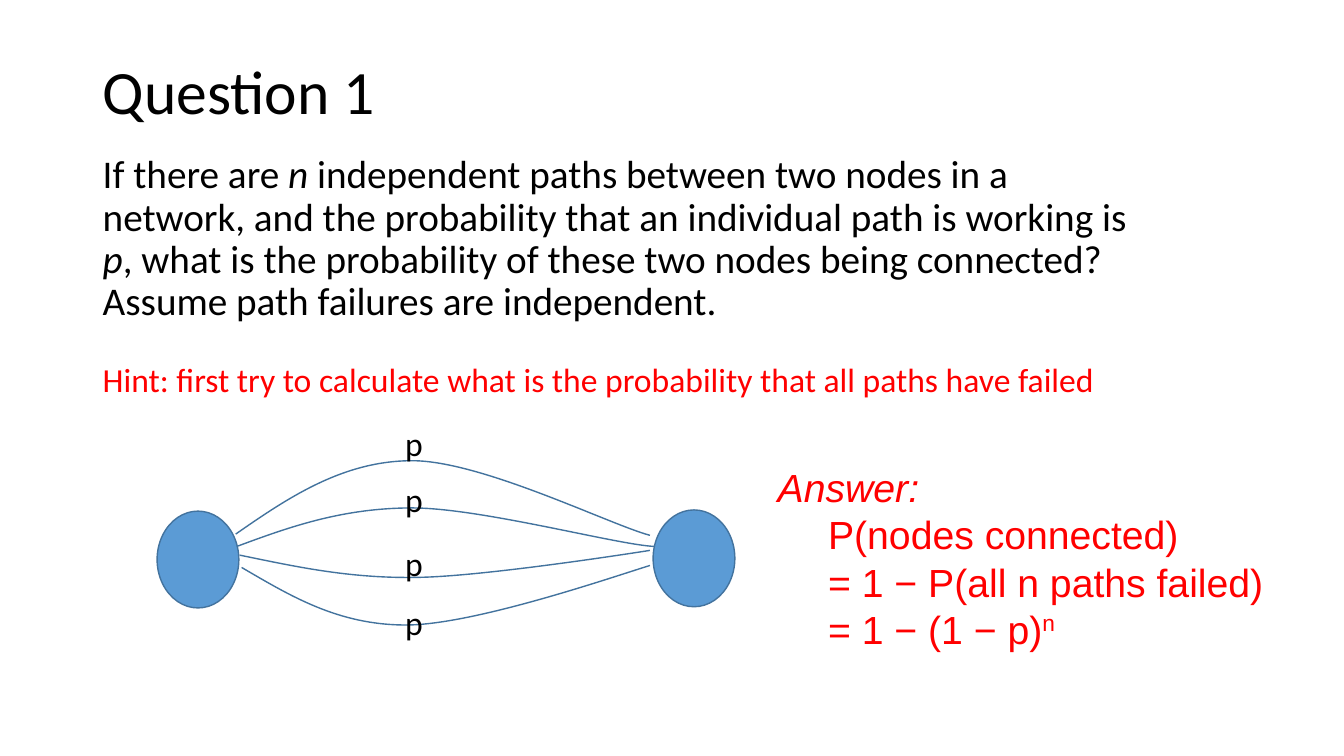
from dataclasses import dataclass

from pptx import Presentation
from pptx.dml.color import RGBColor as RGB
from pptx.enum.shapes import MSO_SHAPE as SHAPE
from pptx.enum.text import MSO_ANCHOR as ANCHOR, PP_ALIGN as ALIGN
from pptx.oxml.ns import qn
from pptx.util import Cm, Pt


@dataclass(frozen=True)
class Theme:
    text: RGB = RGB(0x00, 0x00, 0x00)
    accent: RGB = RGB(0xFF, 0x00, 0x00)
    node: RGB = RGB(0x5B, 0x9B, 0xD5)
    edge: RGB = RGB(0x43, 0x73, 0x9E)
    body_font: str = "Calibri"
    answer_font: str = "Arial"
    title_size: Pt = Pt(44)
    body_size: Pt = Pt(28)
    small_size: Pt = Pt(24)
    line_width: Pt = Pt(1)


T = Theme()
TITLE = dict(name=T.body_font, size=T.title_size, color=T.text)
BODY = dict(name=T.body_font, size=T.body_size, color=T.text)
HINT = dict(name=T.body_font, size=T.small_size, color=T.accent)
LABEL = dict(name=T.body_font, size=T.small_size, color=T.text)
ANSWER = dict(name=T.answer_font, size=T.body_size, color=T.accent)

# Centimetres from the diagram's corner: start, then three points per Bézier arc.
PATHS = [
    [(1.98, 2.92), (3.33, 1.98), (4.7, 1.07), (6.43, 1.07),
     (8.18, 1.07), (11.43, 2.69), (12.42, 2.95)],
    [(2.01, 3.23), (3.33, 2.74), (4.67, 2.26), (6.43, 2.26),
     (8.15, 2.26), (11.56, 3.18), (12.52, 3.23)],
    [(2.08, 3.45), (3.45, 3.73), (4.83, 4.04), (6.55, 4.01),
     (8.28, 3.99), (12.42, 3.33), (12.42, 3.33)],
    [(2.13, 3.76), (3.35, 4.47), (4.55, 5.21), (6.27, 5.21),
     (7.98, 5.21), (11.51, 3.99), (12.42, 3.71)],
]
LABEL_TOPS = [0, 1.4, 3.02, 4.5]
NODES = [(0, 2.34), (12.5, 2.31)]


def add_run(p, text, fmt, **extra):
    r = p.add_run()
    r.text = text
    for key, value in {**fmt, **extra}.items():
        if key == "color":
            r.font.color.rgb = value
        else:
            setattr(r.font, key, value)
    return r


def add_text_frame(s, left, top, width, height):
    tf = s.shapes.add_textbox(Cm(left), Cm(top), Cm(width), Cm(height)).text_frame
    tf.word_wrap = True
    return tf


def add_title(s, left, top, width, height):
    title = s.shapes.title
    for key, value in dict(left=left, top=top, width=width, height=height).items():
        setattr(title, key, Cm(value))
    tf = title.text_frame
    tf.vertical_anchor = ANCHOR.MIDDLE
    p = tf.paragraphs[0]
    p.alignment = ALIGN.LEFT
    p.line_spacing = 0.9
    add_run(p, "Question 1", TITLE)


def add_question(s, left, top, width, height):
    tf = add_text_frame(s, left, top, width, height)
    p = tf.paragraphs[0]
    p.line_spacing = 0.9
    for text, italic in [
        ("If there are ", False),
        ("n", True),
        (" independent paths between two nodes in a network, and the "
         "probability that an individual path is working is ", False),
        ("p", True),
        (", what is the probability of these two nodes being connected? "
         "Assume path failures are independent.", False),
    ]:
        add_run(p, text, BODY, italic=italic)
    p = tf.add_paragraph()
    p.line_spacing = 0.9
    p.space_before = Pt(28)
    add_run(p, "Hint: first try to calculate what is the probability "
               "that all paths have failed", HINT)


def style_shape(shape):
    shape.shadow.inherit = False
    shape.line.color.rgb = T.edge
    shape.line.width = T.line_width


def add_curve(s, points):
    """Draw an open curve through a start point and triples of Bézier points."""
    start, *rest = [(Cm(x), Cm(y)) for x, y in points]
    builder = s.shapes.build_freeform(*start)
    builder.add_line_segments(rest, close=False)
    curve = builder.convert_to_shape()
    segments = list(curve._element.iter(qn("a:lnTo")))
    for i in range(0, len(segments), 3):
        first, *others = segments[i:i + 3]
        bezier = first.makeelement(qn("a:cubicBezTo"))
        first.addprevious(bezier)
        for segment in (first, *others):
            bezier.append(segment[0])
            segment.getparent().remove(segment)
    curve.fill.background()
    style_shape(curve)


def add_diagram(s, left, top):
    for x, y in NODES:
        node = s.shapes.add_shape(SHAPE.OVAL, Cm(left + x), Cm(top + y),
                                  Cm(2.06), Cm(2.44))
        node.fill.solid()
        node.fill.fore_color.rgb = T.node
        style_shape(node)
    for points in PATHS:
        add_curve(s, [(left + x, top + y) for x, y in points])
    for y in LABEL_TOPS:
        tf = add_text_frame(s, left + 6, top + y, 1.17, 1.27)
        add_run(tf.paragraphs[0], "p", LABEL)


def add_answer(s, left, top, width, height):
    tf = add_text_frame(s, left, top, width, height)
    add_run(tf.paragraphs[0], "Answer:", ANSWER, italic=True)
    for text in ("P(nodes connected)", "= 1 − P(all n paths failed)",
                 "= 1 − (1 − p)"):
        p = tf.add_paragraph()
        p.level = 1
        pPr = p._p.get_or_add_pPr()
        pPr.set("marL", str(Cm(1.27)))
        pPr.set("indent", "0")
        add_run(p, text, ANSWER)
    exponent = add_run(p, "n", ANSWER)
    exponent._r.get_or_add_rPr().set("baseline", "33000")


def main():
    prs = Presentation()
    prs.slide_width, prs.slide_height = Cm(33.87), Cm(19.05)
    s = prs.slides.add_slide(prs.slide_layouts[5])
    add_title(s, 2.34, 0.53, 29.21, 3.68)
    add_question(s, 2.34, 3.78, 26.44, 5.84)
    add_diagram(s, 3.96, 10.54)
    add_answer(s, 19.35, 11.56, 13.26, 5.05)
    prs.save("out.pptx")


if __name__ == "__main__":
    main()
